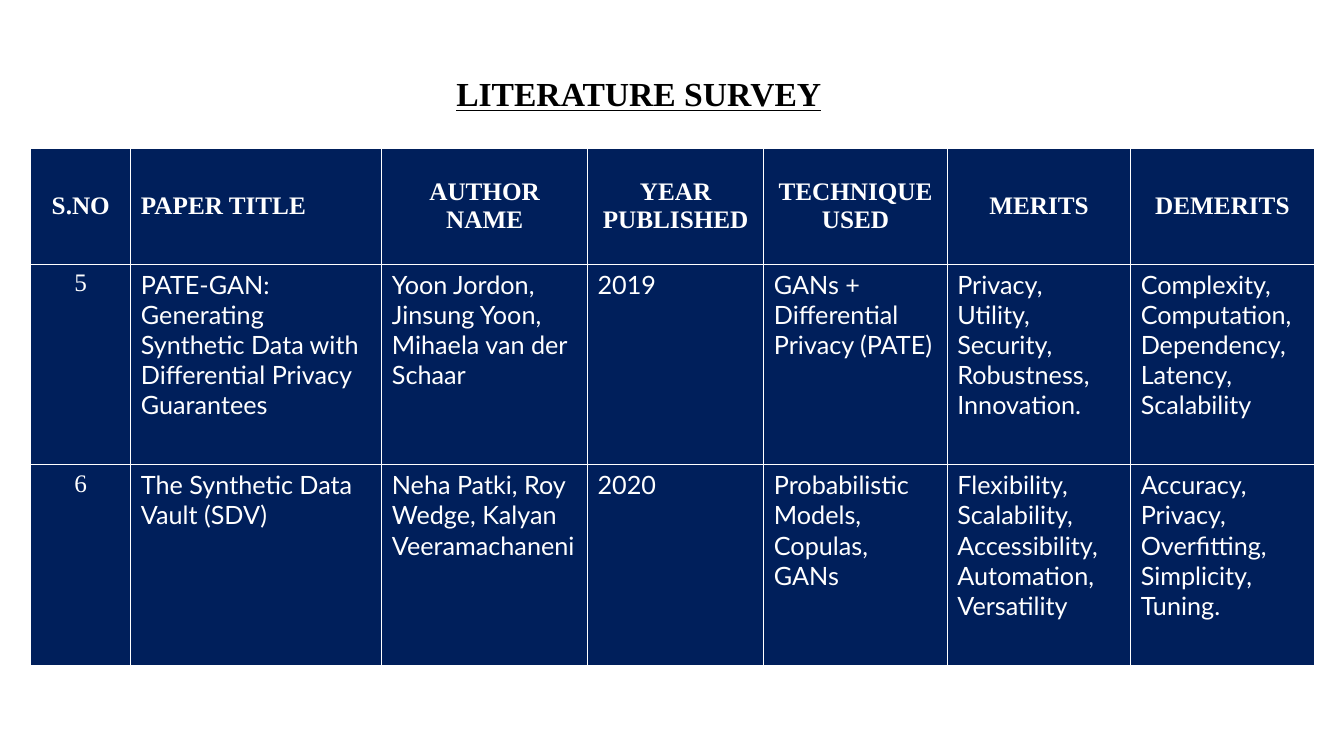
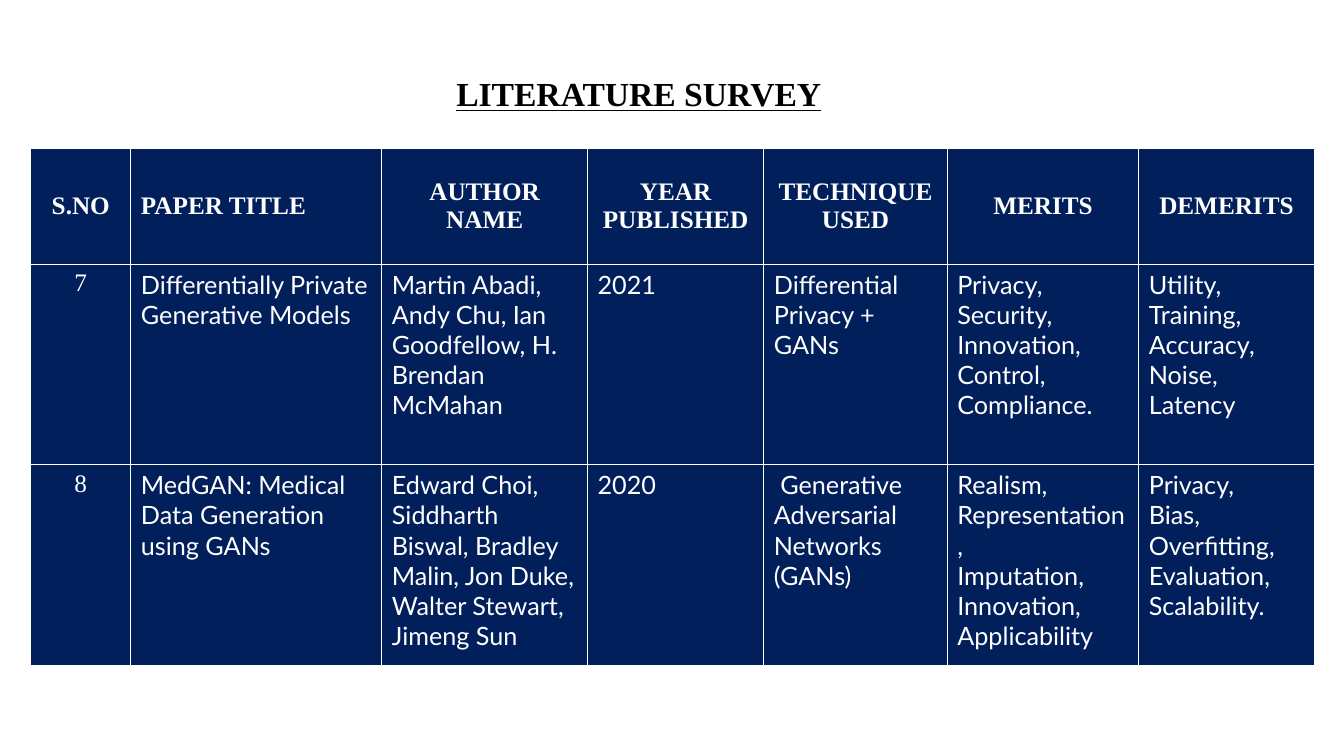
from pptx import Presentation
from pptx import util as u
from pptx.dml import color
from pptx.enum import text

TITLE = "LITERATURE SURVEY"
HEADINGS = ["S.NO", "PAPER TITLE", "AUTHOR NAME", "YEAR PUBLISHED",
            "TECHNIQUE USED", "MERITS", "DEMERITS"]
SURVEYS = [
    {
        "last_widths": [131.04, 131.04],
        "papers": [
            ["5", "PATE-GAN: Generating Synthetic Data with Differential Privacy Guarantees",
             "Yoon Jordon, Jinsung Yoon, Mihaela van der Schaar", "2019",
             "GANs + Differential Privacy (PATE)",
             ["Privacy,", "Utility,", "Security,", "Robustness,", "Innovation."],
             ["Complexity,", "Computation,", "Dependency,", "Latency,", "Scalability"]],
            ["6", "The Synthetic Data Vault (SDV)",
             "Neha Patki, Roy Wedge, Kalyan Veeramachaneni", "2020",
             "Probabilistic Models, Copulas, GANs",
             ["Flexibility,", "Scalability,", "Accessibility,", "Automation,", "Versatility"],
             ["Accuracy,", "Privacy,", "Overfitting,", "Simplicity,", "Tuning."]],
        ],
    },
    {
        "last_widths": [136.8, 125.28],
        "papers": [
            ["7", "Differentially Private Generative Models",
             "Martin Abadi, Andy Chu, Ian Goodfellow, H. Brendan McMahan", "2021",
             "Differential Privacy + GANs",
             ["Privacy,", "Security,", "Innovation,", "Control,", "Compliance."],
             ["Utility,", "Training,", "Accuracy,", "Noise,", "Latency"]],
            ["8", "MedGAN: Medical Data Generation using GANs",
             "Edward Choi, Siddharth Biswal, Bradley Malin, Jon Duke, Walter Stewart, Jimeng Sun",
             "2020", " Generative Adversarial Networks (GANs)",
             ["Realism,", "Representation,", "Imputation,", "Innovation,", "Applicability"],
             ["Privacy,", "Bias,", "Overfitting,", "Evaluation,", "Scalability."]],
        ],
    },
]
FIRST_WIDTHS = [71.6, 179.28, 146.88, 126, 131.04]
HEADER_HEIGHT, PAPER_HEIGHT = 82.8, 143.28
NAVY, WHITE, BLACK = "001F5B", "FFFFFF", "000000"
SERIF, SANS = "Times New Roman", "Lato"


def rgb(value):
    return color.RGBColor.from_string(value)


def add_run(paragraph, words, face, size, ink, bold=False, underline=False):
    run = paragraph.add_run()
    run.text = words
    font = run.font
    font.name, font.size, font.bold, font.underline = face, u.Pt(size), bold, underline
    font.color.rgb = rgb(ink)


def add_title(slide):
    box = slide.shapes.add_textbox(u.Pt(306.72), u.Pt(18.72), u.Pt(310.32), u.Pt(99.36))
    frame = box.text_frame
    frame.word_wrap = True
    frame.margin_left = u.Pt(19.2)
    frame.vertical_anchor = text.MSO_ANCHOR.MIDDLE
    paragraph = frame.paragraphs[0]
    paragraph.line_spacing = 0.9
    add_run(paragraph, TITLE, SERIF, 24, BLACK, bold=True, underline=True)


def fill_cell(cell, content, heading, column):
    cell.fill.solid()
    cell.fill.fore_color.rgb = rgb(NAVY)
    cell.vertical_anchor = text.MSO_ANCHOR.MIDDLE if heading else text.MSO_ANCHOR.TOP
    centred = column == 0 or (heading and column != 1)
    face = SERIF if heading or column == 0 else SANS
    lines = content if isinstance(content, list) else [content]
    frame = cell.text_frame
    for index, line in enumerate(lines):
        paragraph = frame.add_paragraph() if index else frame.paragraphs[0]
        paragraph.alignment = text.PP_ALIGN.CENTER if centred else text.PP_ALIGN.LEFT
        add_run(paragraph, line, face, 18, WHITE, bold=heading)


def add_survey(slide, survey):
    rows = [HEADINGS] + survey["papers"]
    widths = FIRST_WIDTHS + survey["last_widths"]
    heights = [HEADER_HEIGHT] + [PAPER_HEIGHT] * len(survey["papers"])
    table = slide.shapes.add_table(len(rows), len(widths), u.Pt(21.9), u.Pt(105.84),
                                   u.Pt(sum(widths)), u.Pt(sum(heights))).table
    table.horz_banding = False
    for column, width in zip(table.columns, widths):
        column.width = u.Pt(width)
    for row, height in zip(table.rows, heights):
        row.height = u.Pt(height)
    for r, contents in enumerate(rows):
        for c, content in enumerate(contents):
            fill_cell(table.cell(r, c), content, r == 0, c)


def main():
    deck = Presentation()
    deck.slide_width, deck.slide_height = u.Pt(960), u.Pt(540)
    for survey in SURVEYS:
        slide = deck.slides.add_slide(deck.slide_layouts[6])
        add_title(slide)
        add_survey(slide, survey)
    deck.save("out.pptx")


if __name__ == "__main__":
    main()
